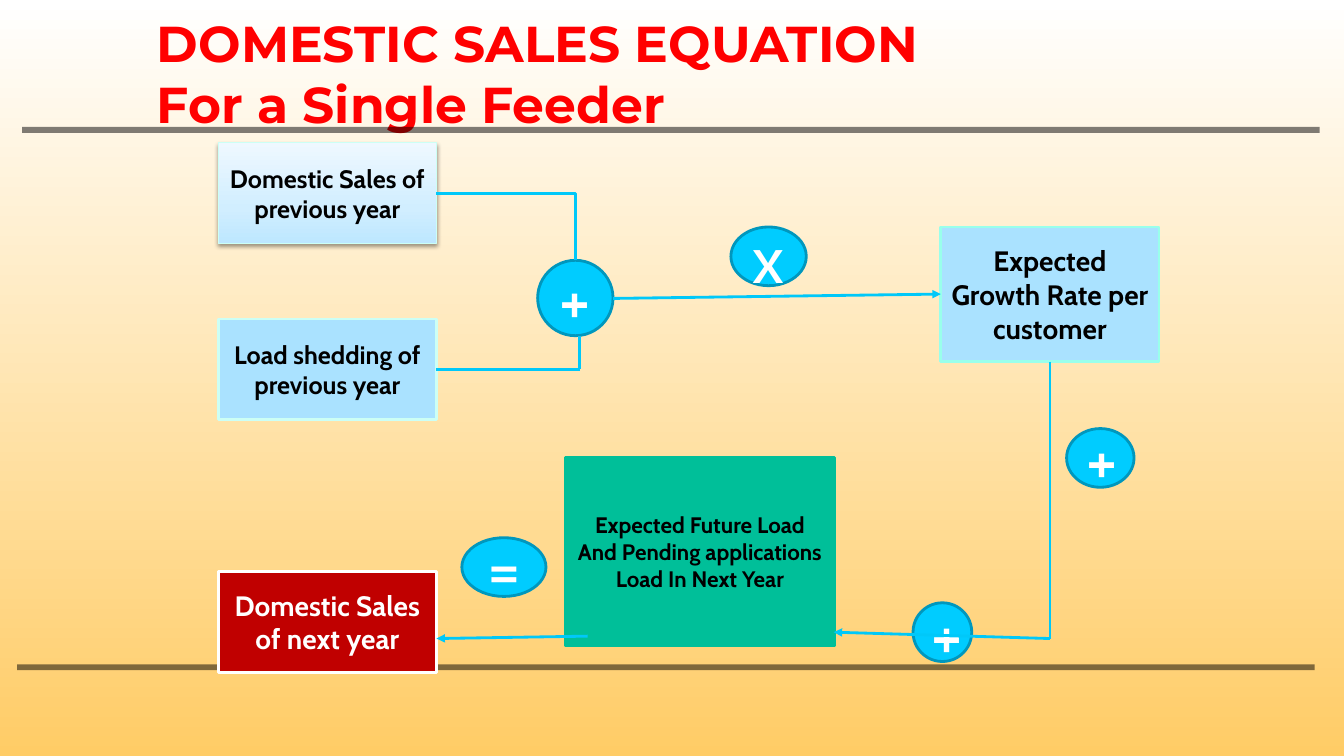
from dataclasses import dataclass

from lxml.etree import SubElement
from pptx import Presentation
from pptx.dml.color import RGBColor
from pptx.enum.shapes import MSO_CONNECTOR, MSO_SHAPE
from pptx.enum.text import MSO_ANCHOR, MSO_AUTO_SIZE, PP_ALIGN
from pptx.oxml.ns import qn
from pptx.util import Cm, Pt

BLACK, WHITE, SKY, MINT = "000000", "FFFFFF", "AAE2FF", "CCFFF5"
WIRE = "00C8F9"


@dataclass
class Node:
    text: str
    left: float
    top: float
    width: float
    height: float
    size: int = 48
    fill: str = "00CCFF"
    edge: str = "0097BD"
    ink: str = WHITE
    kind: MSO_SHAPE = MSO_SHAPE.OVAL
    bold: bool = False


@dataclass
class Box(Node):
    size: int = 18
    fill: str = SKY
    edge: str = MINT
    ink: str = BLACK
    kind: MSO_SHAPE = MSO_SHAPE.RECTANGLE
    bold: bool = True


@dataclass
class Link:
    x1: float
    y1: float
    x2: float
    y2: float
    arrow: bool = False
    bent: bool = False


SALES = Box("Domestic Sales of previous year", 5.5, 3.6, 5.5, 2.54)
NODES = [
    Box("Expected Growth Rate per customer", 23.71, 5.72, 5.5, 3.39, 20, edge="99FFEB"),
    Box("Load shedding of previous year", 5.5, 8.04, 5.5, 2.54),
    Box("Expected Future Load And Pending applications Load In Next Year",
        14.25, 11.53, 6.78, 4.75, 16, "00BF99", "00BF99"),
    Box("Domestic Sales of next year", 5.5, 14.4, 5.5, 2.54, 20, "C00000", WHITE, WHITE),
    Node("+", 13.55, 6.56, 1.9, 1.9),
    Node("x", 18.42, 5.72, 1.9, 1.48),
    Node("+", 26.88, 10.8, 1.7, 1.48),
    Node("+", 23.01, 15.19, 1.48, 1.48),
    Node("=", 11.64, 13.55, 2.12, 1.48),
]
LINKS = [
    Link(11, 4.87, 14.5, 6.56, bent=True),
    Link(11, 9.31, 14.61, 9.31),
    Link(14.61, 9.31, 14.61, 8.46),
    Link(15.45, 7.52, 23.71, 7.41, arrow=True),
    Link(26.46, 9.11, 26.46, 16.09),
    Link(26.46, 16.09, 21.01, 15.93, arrow=True),
    Link(14.81, 16.03, 11, 16.09, arrow=True),
]
BARS = [(0.56, 3.2), (0.43, 16.74)]


def paint(color, code: str) -> None:
    color.rgb = RGBColor.from_string(code)


def style(frame, font: str, size: int, ink: str, bold: bool, align) -> None:
    frame.word_wrap = True
    frame.vertical_anchor = MSO_ANCHOR.MIDDLE
    for para in frame.paragraphs:
        para.alignment = align
        for run in para.runs:
            run.font.name, run.font.size, run.font.bold = font, Pt(size), bold
            paint(run.font.color, ink)


def grade(owner, fill, stops: list[tuple[int, str]], angle: int) -> None:
    """Fill with a linear gradient; the angle runs counter-clockwise."""
    fill.gradient()
    fill.gradient_angle = angle
    items = owner._element.find(".//" + qn("a:gsLst"))
    for old in list(items):
        items.remove(old)
    for place, code in stops:
        stop = SubElement(items, qn("a:gs"), pos=str(place * 1000))
        SubElement(stop, qn("a:srgbClr"), val=code)


def add_bar(slide, left: float, top: float) -> None:
    bar = slide.shapes.add_shape(MSO_SHAPE.RECTANGLE, Cm(left), Cm(top), Cm(32.7), Cm(0.15))
    bar.shadow.inherit = False
    bar.fill.solid()
    paint(bar.fill.fore_color, BLACK)
    tint = bar._element.spPr.find(".//" + qn("a:srgbClr"))
    SubElement(tint, qn("a:alpha"), val="50000")
    bar.line.fill.background()


def add_node(slide, node: Node):
    shape = slide.shapes.add_shape(
        node.kind, Cm(node.left), Cm(node.top), Cm(node.width), Cm(node.height))
    shape.shadow.inherit = False
    shape.fill.solid()
    paint(shape.fill.fore_color, node.fill)
    paint(shape.line.color, node.edge)
    shape.line.width = Pt(2)
    shape.text_frame.text = node.text
    style(shape.text_frame, "Cabin", node.size, node.ink, node.bold, PP_ALIGN.CENTER)
    return shape


def add_sales(slide) -> None:
    """Add the first box, with its gradient and soft shadow."""
    shape = add_node(slide, SALES)
    shape.line.width = Pt(0.75)
    grade(shape, shape.fill, [(0, "BDE7FF"), (35, "D1EEFF"), (100, "EEF8FF")], 90)
    effects = shape._element.spPr.find(qn("a:effectLst"))
    shade = SubElement(effects, qn("a:outerShdw"), blurRad=str(Pt(3.1)),
                       dist=str(Pt(1.6)), dir="5400000", rotWithShape="0")
    tint = SubElement(shade, qn("a:srgbClr"), val=BLACK)
    SubElement(tint, qn("a:alpha"), val="38000")


def add_link(slide, link: Link) -> None:
    kind = MSO_CONNECTOR.ELBOW if link.bent else MSO_CONNECTOR.STRAIGHT
    wire = slide.shapes.add_connector(
        kind, Cm(link.x1), Cm(link.y1), Cm(link.x2), Cm(link.y2))
    paint(wire.line.color, WIRE)
    wire.line.width = Pt(2)
    props = wire._element.spPr
    if link.bent:
        props.find(qn("a:prstGeom")).set("prst", "bentConnector2")
    if link.arrow:
        SubElement(props.find(qn("a:ln")), qn("a:tailEnd"), type="triangle")
    SubElement(props, qn("a:effectLst"))


def add_title(slide) -> None:
    title = slide.shapes.title
    title.left, title.top, title.width, title.height = Cm(3.7), Cm(0.48), Cm(21.6), Cm(2.7)
    frame = title.text_frame
    frame.text = "DOMESTIC SALES EQUATION\vFor a Single Feeder"
    frame.auto_size = MSO_AUTO_SIZE.NONE
    style(frame, "Montserrat", 36, "FF0000", True, PP_ALIGN.LEFT)


def main() -> None:
    deck = Presentation()
    deck.slide_width, deck.slide_height = Cm(33.87), Cm(19.05)
    slide = deck.slides.add_slide(deck.slide_layouts[5])
    grade(slide, slide.background.fill, [(0, WHITE), (100, "FFCC66")], 270)
    add_title(slide)
    for left, top in BARS:
        add_bar(slide, left, top)
    add_sales(slide)
    for node in NODES:
        add_node(slide, node)
    for link in LINKS:
        add_link(slide, link)
    deck.save("out.pptx")


if __name__ == "__main__":
    main()
